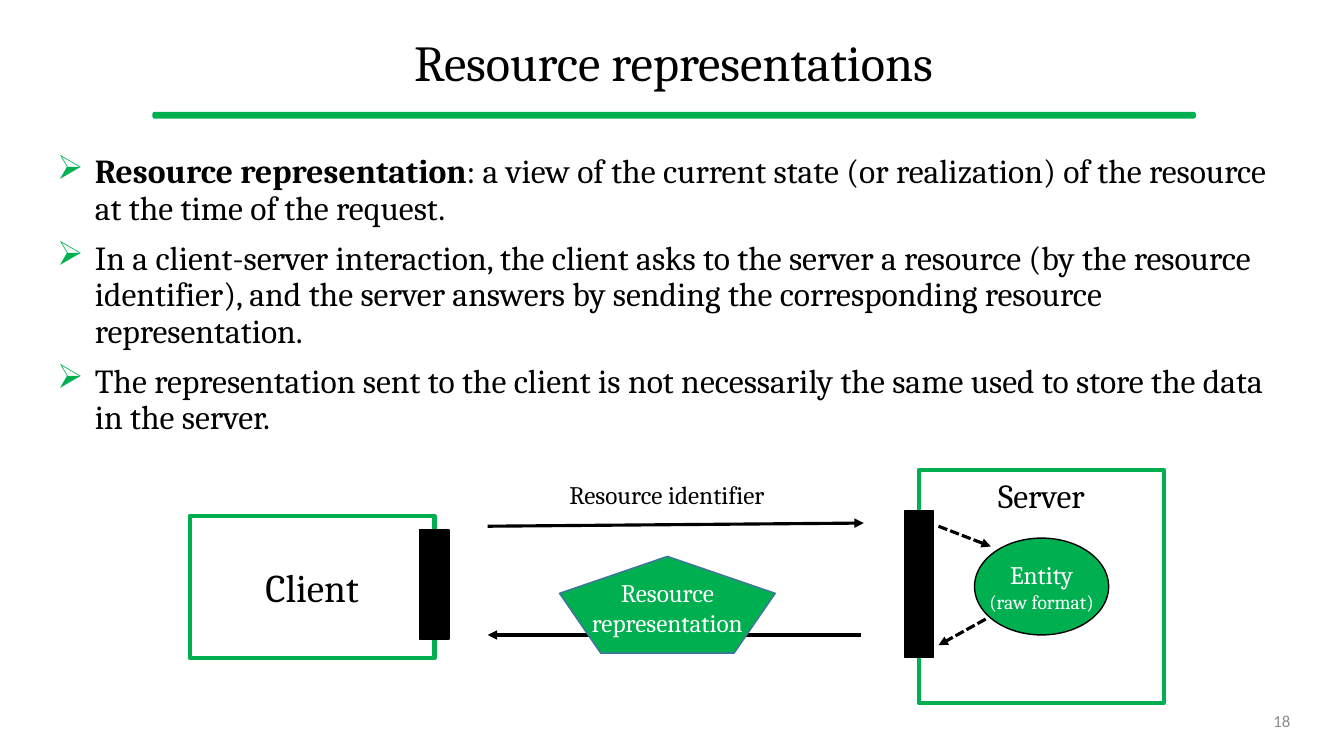
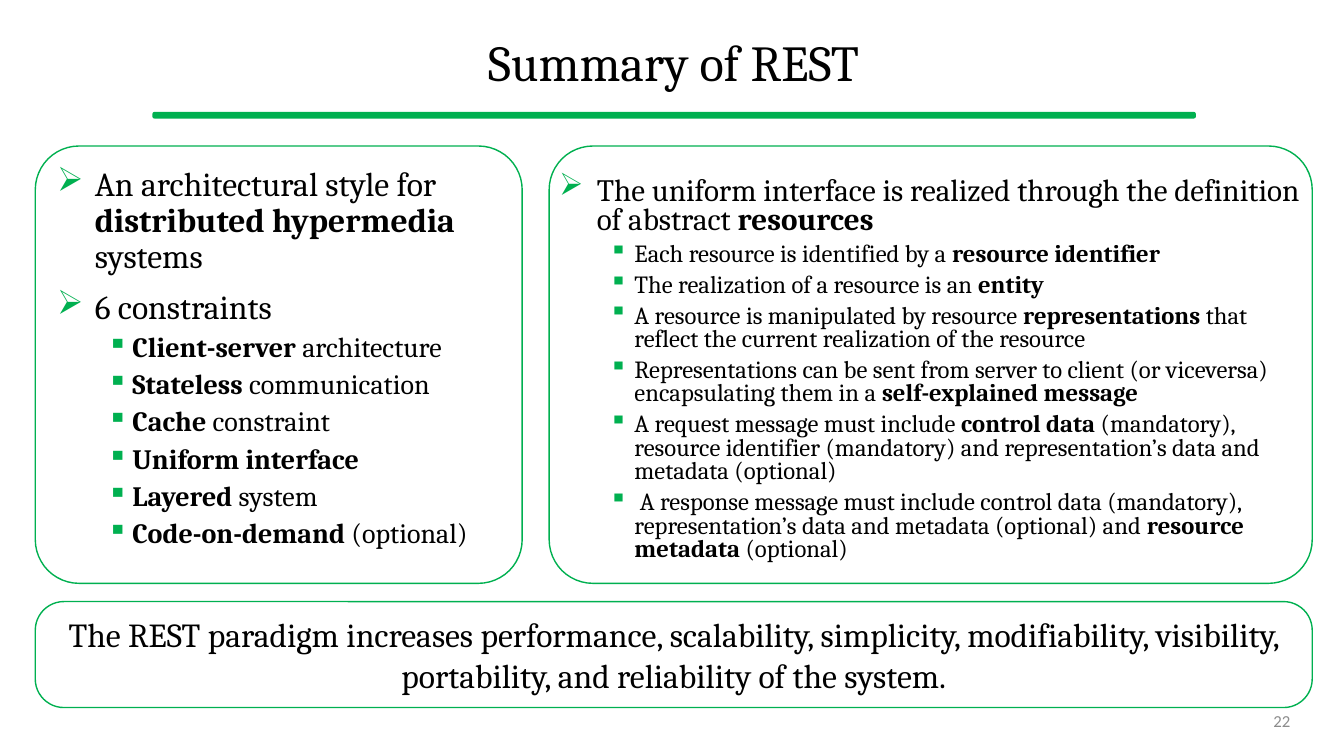
from lxml import etree
from pptx import Presentation
from pptx import util as u
from pptx.dml.color import RGBColor
from pptx.enum import dml, shapes, text
from pptx.oxml import ns

COLORS = {"green": "00B050", "black": "000000", "white": "FFFFFF",
          "steel": "43739E", "gray": "8C8C8C"}
FONT = "Cambria"
SHAPE = shapes.MSO_SHAPE
ALIGN = text.PP_ALIGN
ANCHOR = text.MSO_ANCHOR
BULLETS = [("➢", 0.95, 0.95, 10), ("▪", 1.9, 0.63, 5)]

DEFINITIONS = [
    (0, "**Resource representation**: a view of the current state (or realization) "
        "of the resource at the time of the request."),
    (0, "In a client-server interaction, the client asks to the server a resource "
        "(by the resource identifier), and the server answers by sending the "
        "corresponding resource representation."),
    (0, "The representation sent to the client is not necessarily the same used to "
        "store the data in the server."),
]
CONSTRAINTS = [
    (0, "An architectural style for **distributed hypermedia **systems"),
    (0, "6 constraints"),
    (1, "**Client-server** architecture"),
    (1, "**Stateless** communication"),
    (1, "**Cache** constraint"),
    (1, "**Uniform interface**"),
    (1, "**Layered** system"),
    (1, "**Code-on-demand** (optional)"),
]
INTERFACE = [
    (0, "The uniform interface is realized through the definition of abstract **resources**"),
    (1, "Each resource is identified by a **resource identifier**"),
    (1, "The realization of a resource is an **entity**"),
    (1, "A resource is manipulated by resource **representations** that reflect the "
        "current realization of the resource"),
    (1, "Representations can be sent from server to client (or viceversa) "
        "encapsulating them in a **self-explained message**"),
    (1, "A request message must include **control data **(mandatory), resource "
        "identifier (mandatory) and representation’s data and metadata (optional)"),
    (1, " A response message must include control data (mandatory), representation’s "
        "data and metadata (optional) and **resource metadata **(optional)"),
]
CONCLUSION = ("The REST paradigm increases performance, scalability, simplicity, "
              "modifiability, visibility, portability, and reliability of the system.")


def rgb(name):
    """Return the named colour."""
    return RGBColor.from_string(COLORS[name])


def add_runs(paragraph, marked, size, color="black", font=FONT):
    """Add runs to a paragraph, with bold between double asterisks."""
    for index, part in enumerate(marked.split("**")):
        if part:
            run = paragraph.add_run()
            run.text = part
            run.font.name = font
            run.font.size = u.Pt(size)
            run.font.bold = index % 2 == 1
            run.font.color.rgb = rgb(color)


def write(shape, lines, color="black", align=ALIGN.CENTER, anchor=ANCHOR.MIDDLE,
          font=FONT, wrap=True):
    """Write lines of (text, size) into a shape."""
    frame = shape.text_frame
    frame.word_wrap = wrap
    frame.vertical_anchor = anchor
    for index, (line, size) in enumerate(lines):
        paragraph = frame.add_paragraph() if index else frame.paragraphs[0]
        paragraph.alignment = align
        add_runs(paragraph, line, size, color, font)


def add_textbox(slide, *box):
    """Add a text box at a place in centimetres."""
    return slide.shapes.add_textbox(*map(u.Cm, box))


def add_box(slide, kind, box, fill=None, line="green", width=1, radius=None):
    """Add a preset shape with plain fill and outline."""
    shape = slide.shapes.add_shape(kind, *map(u.Cm, box))
    shape.shadow.inherit = False
    if fill:
        shape.fill.solid()
        shape.fill.fore_color.rgb = rgb(fill)
    else:
        shape.fill.background()
    shape.line.color.rgb = rgb(line)
    shape.line.width = u.Pt(width)
    if radius is not None:
        shape.adjustments[0] = radius
    return shape


def add_arrow(slide, start, end, dashed=False):
    """Add a black arrow from start to end."""
    arrow = slide.shapes.add_connector(
        shapes.MSO_CONNECTOR.STRAIGHT, *map(u.Cm, (*start, *end)))
    arrow.line.color.rgb = rgb("black")
    arrow.line.width = u.Pt(2.25)
    if dashed:
        arrow.line.dash_style = dml.MSO_LINE.SQUARE_DOT
    properties = arrow._element.spPr
    outline = properties.find(ns.qn("a:ln"))
    etree.SubElement(outline, ns.qn("a:tailEnd"), type="triangle")
    etree.SubElement(properties, ns.qn("a:effectLst"))


def add_bullet(paragraph, level):
    """Give a paragraph the green bullet and indent of its level."""
    mark, margin, hanging, _ = BULLETS[level]
    properties = paragraph._p.get_or_add_pPr()
    properties.set("marL", str(u.Cm(margin)))
    properties.set("indent", str(-u.Cm(hanging)))
    color = etree.SubElement(properties, ns.qn("a:buClr"))
    etree.SubElement(color, ns.qn("a:srgbClr"), val=COLORS["green"])
    etree.SubElement(properties, ns.qn("a:buChar"), char=mark)


def add_bullets(slide, box, items, sizes, spacing=0.9):
    """Add a two-level bulleted list in a box."""
    frame = add_textbox(slide, *box).text_frame
    frame.word_wrap = True
    for index, (level, line) in enumerate(items):
        paragraph = frame.add_paragraph() if index else frame.paragraphs[0]
        paragraph.level = level
        add_bullet(paragraph, level)
        paragraph.line_spacing = spacing
        paragraph.space_before = u.Pt(BULLETS[level][3] if index else 0)
        add_runs(paragraph, line, sizes[level])


def add_slide(presentation, title, number):
    """Add a slide with title, green band and number."""
    slide = presentation.slides.add_slide(presentation.slide_layouts[5])
    add_box(slide, SHAPE.ROUNDED_RECTANGLE, (3.86, 2.84, 26.26, 0.13), "green", radius=0.26)
    heading = slide.shapes.title
    heading.left, heading.top, heading.width, heading.height = map(
        u.Cm, (1.19, 0.46, 31.57, 2.39))
    write(heading, [(title, 36)])
    heading.text_frame.paragraphs[0].line_spacing = 0.9
    write(add_textbox(slide, 23.93, 17.65, 8.84, 1.02), [(str(number), 12)],
          "gray", ALIGN.RIGHT, font="Calibri")
    return slide


def add_interaction(slide, left, top, width, height):
    """Draw the exchange between client and server in a box."""
    def place(x, y, *size):
        return (left + x, top + y, *size)

    node_width, port_width = 6.17, 0.74
    server_x = width - node_width
    client = add_box(slide, SHAPE.RECTANGLE, place(0, 1.16, node_width, 3.58), "white", width=3)
    write(client, [("Client", 28)])
    server = add_box(slide, SHAPE.RECTANGLE, place(server_x, 0, node_width, height),
                     "white", width=3)
    write(server, [("Server", 24)], anchor=ANCHOR.TOP)
    for edge, y, port_height in [(node_width, 1.52, 2.74), (server_x, 1.04, 3.68)]:
        add_box(slide, SHAPE.RECTANGLE,
                place(edge - port_width / 2, y, port_width, port_height), "black", "black")

    entity = add_box(slide, SHAPE.OVAL, place(19.78, 1.72, 3.38, 2.44), "green", "black")
    write(entity, [("Entity", 18), ("(raw format)", 14)], "white", wrap=False)

    add_arrow(slide, place(7.51, 1.42), place(16.99, 1.34))
    add_arrow(slide, place(16.91, 4.16), place(7.51, 4.16))
    add_arrow(slide, place(18.87, 1.42), place(20.19, 1.93), dashed=True)
    add_arrow(slide, place(20.06, 3.76), place(18.87, 4.42), dashed=True)

    write(add_textbox(slide, *place(9.32, 0.12, 6.55, 1.02)),
          [("Resource identifier", 18)], align=ALIGN.LEFT)
    add_box(slide, SHAPE.REGULAR_PENTAGON, place(9.32, 2.18, 5.44, 2.44), "green", "steel")
    write(add_textbox(slide, *place(9.32, 2.56, 5.44, 1.8)),
          [("Resource representation", 18)], "white")


def add_panel(slide, box, inset, items, sizes, spacing):
    """Add a rounded panel with a bulleted list inside."""
    left, top, width, height = box
    across, down = inset
    add_box(slide, SHAPE.ROUNDED_RECTANGLE, box, radius=0.1)
    add_bullets(slide, (left + across, top + down, width - across, height - down),
                items, sizes, spacing)


def add_representations(presentation):
    """Build the slide on resource representations."""
    slide = add_slide(presentation, "Resource representations", 18)
    add_bullets(slide, (1.19, 3.78, 31.57, 7.8), DEFINITIONS, (24, 20))
    add_interaction(slide, 4.78, 11.84, 24.55, 5.87)


def add_summary(presentation):
    """Build the slide that sums up REST."""
    slide = add_slide(presentation, "Summary of REST", 22)
    left, top, width, height = 0.89, 3.68, 32.18, 11.02
    left_width, gap = 12.27, 0.68
    right = left + left_width + gap
    add_panel(slide, (left, top, left_width, height), (0.3, 0.41),
              CONSTRAINTS, (24, 20), 0.9)
    add_panel(slide, (right, top, left + width - right, height), (0, 0.66),
              INTERFACE, (22.2, 17.6), 0.8)
    conclusion = add_box(slide, SHAPE.ROUNDED_RECTANGLE, (left, 15.16, width, 2.67), radius=0.27)
    write(conclusion, [(CONCLUSION, 24)])


def main():
    """Build and save the presentation."""
    presentation = Presentation()
    presentation.slide_width = u.Cm(33.87)
    presentation.slide_height = u.Cm(19.05)
    add_representations(presentation)
    add_summary(presentation)
    presentation.save("out.pptx")


if __name__ == "__main__":
    main()
